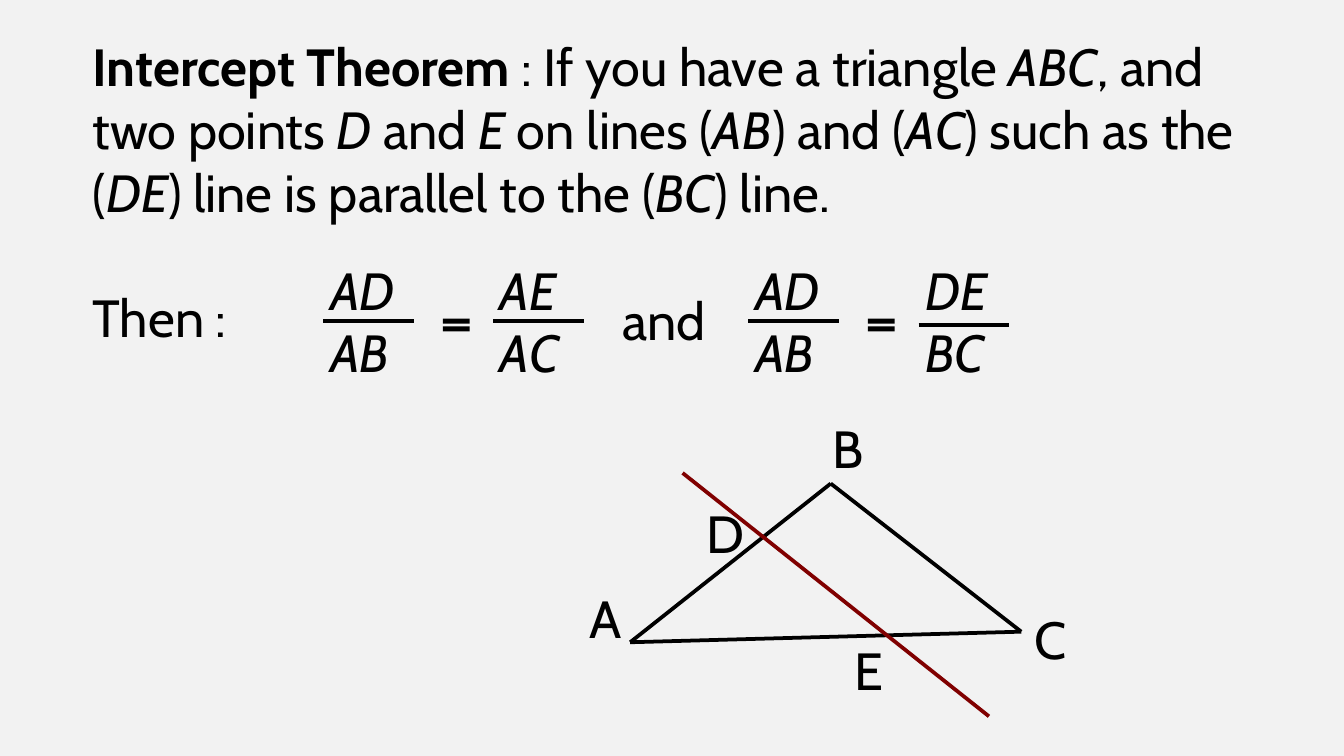
from lxml.etree import SubElement
from pptx import Presentation
from pptx.dml.color import RGBColor
from pptx.enum.shapes import MSO_CONNECTOR, MSO_SHAPE
from pptx.enum.text import MSO_AUTO_SIZE
from pptx.oxml.ns import qn
from pptx.util import Cm, Pt

FONT = "Cabin"
BLACK = "000000"
DARK_RED = "800000"
LIGHT_GREY = "F2F2F2"

THEOREM = [
    ("Intercept Theorem ", "bold"), (": If you have a triangle ", ""),
    ("ABC", "italic"), (", and two points ", ""),
    ("D", "italic"), (" and ", ""), ("E", "italic"), (" on lines (", ""),
    ("AB", "italic"), (") and (", ""), ("AC", "italic"),
    (") such as the (", ""), ("DE", "italic"),
    (") line is parallel to the (", ""), ("BC", "italic"), (") line.", ""),
]


def color(value):
    return RGBColor.from_string(value)


def add_text(shapes, left, top, width, height, paragraphs, wrap=True, gap=0):
    box = shapes.add_textbox(Cm(left), Cm(top), Cm(width), Cm(height))
    frame = box.text_frame
    frame.word_wrap = wrap
    frame.auto_size = MSO_AUTO_SIZE.SHAPE_TO_FIT_TEXT
    for index, spans in enumerate(paragraphs):
        para = frame.add_paragraph() if index else frame.paragraphs[0]
        if index and gap:
            para.space_before = Pt(gap)
        for text, style in spans:
            span = para.add_run()
            span.text = text
            span.font.name = FONT
            span.font.size = Pt(28)
            span.font.bold = style == "bold"
            span.font.italic = style == "italic"
            span.font.color.rgb = color(BLACK)


def add_line(shapes, start, end, stroke=BLACK):
    x1, y1 = start
    x2, y2 = end
    line = shapes.add_connector(
        MSO_CONNECTOR.STRAIGHT, Cm(x1), Cm(y1), Cm(x2), Cm(y2))
    line.line.color.rgb = color(stroke)
    line.line.width = Pt(2)
    SubElement(line._element.spPr, qn("a:effectLst"))


def add_point_label(shapes, name, left, top, width):
    add_text(shapes, left, top, width, 1.45, [[(name, "")]], wrap=False)


def add_fraction(shapes, left, numerator, denominator, bar_top=6.07):
    add_text(shapes, left, 4.75, 2.06, 2.64,
             [[(numerator, "italic")], [(denominator, "italic")]])
    add_line(shapes, (left + 0.12, bar_top), (left + 1.83, bar_top))


def add_equals(shapes, left):
    sign = shapes.add_shape(
        MSO_SHAPE.MATH_EQUAL, Cm(left), Cm(5.94), Cm(0.69), Cm(0.41))
    sign.shadow.inherit = False
    sign.fill.solid()
    sign.fill.fore_color.rgb = color(BLACK)
    sign.line.fill.background()


def add_ratios(page):
    shapes = page.shapes.add_group_shape().shapes
    add_fraction(shapes, 5.99, "AD", "AB")
    add_equals(shapes, 8.28)
    add_fraction(shapes, 9.2, "AE", "AC")
    add_text(shapes, 11.51, 5.33, 2.51, 1.45, [[("and", "")]])
    add_fraction(shapes, 14.02, "AD", "AB")
    add_equals(shapes, 16.31)
    add_fraction(shapes, 17.24, "DE", "BC", bar_top=6.15)


def add_triangle(page):
    shapes = page.shapes.add_group_shape().shapes
    a, b, c = (11.91, 12.14), (15.7, 9.14), (19.3, 11.94)
    for start, end in [(b, c), (a, b), (a, c)]:
        add_line(shapes, start, end)
    add_point_label(shapes, "A", 10.9, 10.95, 1.09)
    add_point_label(shapes, "B", 15.49, 7.75, 1.12)
    add_point_label(shapes, "C", 19.3, 11.35, 1.09)


def add_parallel(page):
    add_point_label(page.shapes, "D", 13.11, 9.35, 1.17)
    add_point_label(page.shapes, "E", 15.9, 11.94, 1.07)
    add_line(page.shapes, (12.9, 8.94), (18.69, 13.54), DARK_RED)


def main():
    deck = Presentation()
    deck.slide_width = Cm(25.4)
    deck.slide_height = Cm(14.29)
    page = deck.slides.add_slide(deck.slide_layouts[6])
    page.background.fill.solid()
    page.background.fill.fore_color.rgb = color(LIGHT_GREY)
    add_triangle(page)
    add_text(page.shapes, 1.5, 0.53, 22.4, 6.25,
             [THEOREM, [("Then :", "")]], gap=33.5)
    add_ratios(page)
    add_parallel(page)
    deck.save("out.pptx")


if __name__ == "__main__":
    main()
